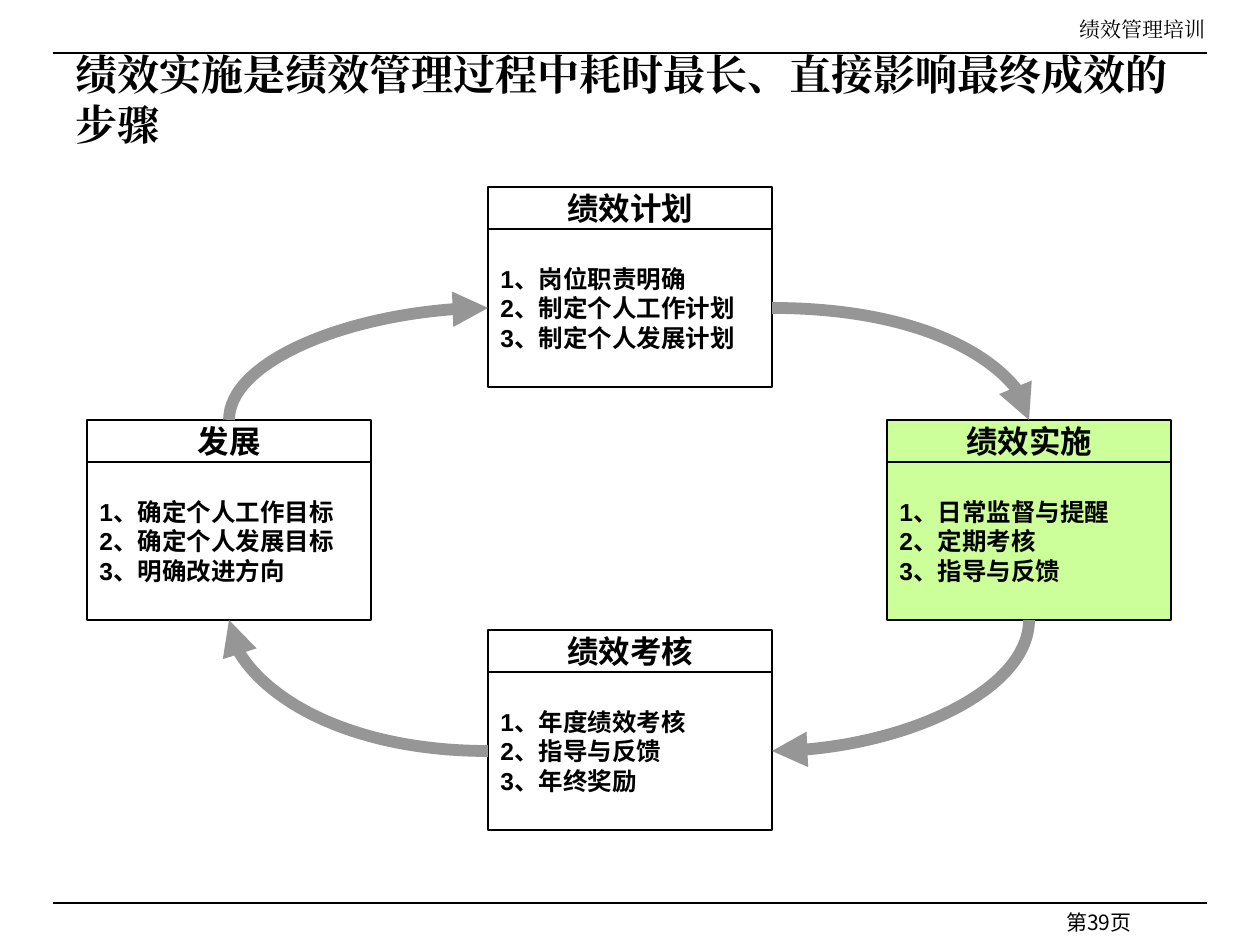
from dataclasses import dataclass

from lxml import etree
from pptx import Presentation
from pptx import util as u
from pptx.dml.color import RGBColor
from pptx.enum import shapes, text
from pptx.oxml.ns import qn


@dataclass(frozen=True)
class Theme:
    ink: str = "000000"
    arrow: str = "969696"
    highlight: str = "CCFF99"
    serif: str = "Times New Roman"
    sans: str = "Arial"
    chinese: str = "Noto Sans CJK SC"
    title: int = 24
    heading: int = 18
    body: int = 14
    small: int = 12
    rule: float = 0.75
    border: float = 1
    arrow_width: float = 6.75


PX = u.Inches(1) / 126
STAGE_WIDTH, HEADING_HEIGHT, BODY_HEIGHT = 284, 42, 158


def px(length):
    return u.Emu(round(length * PX))


class SlideBuilder:
    def __init__(self, slide, theme):
        self.slide = slide
        self.theme = theme

    def fill_text(self, shape, lines, size, font, bold=False,
                  align=text.PP_ALIGN.LEFT, anchor=text.MSO_ANCHOR.MIDDLE):
        frame = shape.text_frame
        frame.text = "\n".join(lines)
        frame.word_wrap = True
        frame.vertical_anchor = anchor
        formats = {"size": u.Pt(size), "name": font, "bold": bold}
        for paragraph in frame.paragraphs:
            paragraph.alignment = align
            for run in paragraph.runs:
                for key, value in formats.items():
                    setattr(run.font, key, value)
                run.font.color.rgb = RGBColor.from_string(self.theme.ink)
                east_asian = etree.SubElement(run.font._element, qn("a:ea"))
                east_asian.set("typeface", font)

    def label(self, box, content, size, font, **formats):
        label = self.slide.shapes.add_textbox(*map(px, box))
        self.fill_text(label, [content], size, font, **formats)

    def panel(self, box, lines, size, fill, align):
        panel = self.slide.shapes.add_shape(
            shapes.MSO_SHAPE.RECTANGLE, *map(px, box))
        panel.shadow.inherit = False
        if fill:
            panel.fill.solid()
            panel.fill.fore_color.rgb = RGBColor.from_string(fill)
        else:
            panel.fill.background()
        panel.line.color.rgb = RGBColor.from_string(self.theme.ink)
        panel.line.width = u.Pt(self.theme.border)
        self.fill_text(panel, lines, size, self.theme.sans, True, align)

    def stage(self, left, top, heading, points, fill=None):
        self.panel((left, top, STAGE_WIDTH, HEADING_HEIGHT), [heading],
                   self.theme.heading, fill, text.PP_ALIGN.CENTER)
        numbered = [f"{number}、{point}" for number, point in enumerate(points, 1)]
        self.panel((left, top + HEADING_HEIGHT, STAGE_WIDTH, BODY_HEIGHT),
                   numbered, self.theme.body, fill, text.PP_ALIGN.LEFT)

    def connector(self, kind, start, end, color, width):
        connector = self.slide.shapes.add_connector(
            kind, *map(px, (*start, *end)))
        connector.line.color.rgb = RGBColor.from_string(color)
        connector.line.width = u.Pt(width)
        etree.SubElement(connector.element.spPr, qn("a:effectLst"))
        return connector

    def rule(self, top):
        self.connector(shapes.MSO_CONNECTOR.STRAIGHT, (53, top), (1207, top),
                       self.theme.ink, self.theme.rule)

    def curve(self, start, end, turn, flipped=False):
        center_x, center_y = (start[0] + end[0]) / 2, (start[1] + end[1]) / 2
        half_width, half_height = abs(end[0] - start[0]) / 2, abs(end[1] - start[1]) / 2
        if turn % 180:
            half_width, half_height = half_height, half_width
        corners = [(center_x - half_width, center_y - half_height),
                   (center_x + half_width, center_y + half_height)]
        if flipped:
            corners.reverse()
        arrow = self.connector(shapes.MSO_CONNECTOR.CURVE, *corners,
                               self.theme.arrow, self.theme.arrow_width)
        properties = arrow.element.spPr
        properties.find(qn("a:xfrm")).set("rot", str(turn * 60000))
        properties.find(qn("a:prstGeom")).set("prst", "curvedConnector2")
        head = etree.SubElement(arrow.get_or_add_ln(), qn("a:tailEnd"))
        head.set("type", "triangle")


def main():
    deck = Presentation()
    deck.slide_width, deck.slide_height = px(1260), px(945)
    theme = Theme()
    page = SlideBuilder(deck.slides.add_slide(deck.slide_layouts[6]), theme)

    for top in (53, 903):
        page.rule(top)
    corner = {"align": text.PP_ALIGN.RIGHT, "anchor": text.MSO_ANCHOR.TOP}
    page.label((882, 903, 262, 21), "第39页", theme.small, theme.chinese, **corner)
    page.label((630, 10, 588, 38), "绩效管理培训", theme.small, theme.serif, **corner)

    plan, review, growth, action = (488, 187), (488, 630), (87, 420), (887, 420)
    page.stage(*plan, "绩效计划", ["岗位职责明确", "制定个人工作计划", "制定个人发展计划"])
    page.stage(*review, "绩效考核", ["年度绩效考核", "指导与反馈", "年终奖励"])
    page.stage(*growth, "发展", ["确定个人工作目标", "确定个人发展目标", "明确改进方向"])
    page.stage(*action, "绩效实施", ["日常监督与提醒", "定期考核", "指导与反馈"],
               theme.highlight)

    def port(stage, across, down):
        return stage[0] + across, stage[1] + down

    middle = STAGE_WIDTH // 2
    side = HEADING_HEIGHT + BODY_HEIGHT // 2
    bottom = HEADING_HEIGHT + BODY_HEIGHT
    page.curve(port(plan, STAGE_WIDTH, side), port(action, middle, 0), 0)
    page.curve(port(action, middle, bottom), port(review, STAGE_WIDTH, side), 90)
    page.curve(port(review, 0, side), port(growth, middle, bottom), 180)
    page.curve(port(growth, middle, 0), port(plan, 0, side), 90, flipped=True)

    page.label((63, 42, 1124, 113), "绩效实施是绩效管理过程中耗时最长、直接影响最终成效的步骤",
               theme.title, theme.serif, bold=True)
    deck.save("out.pptx")


if __name__ == "__main__":
    main()
